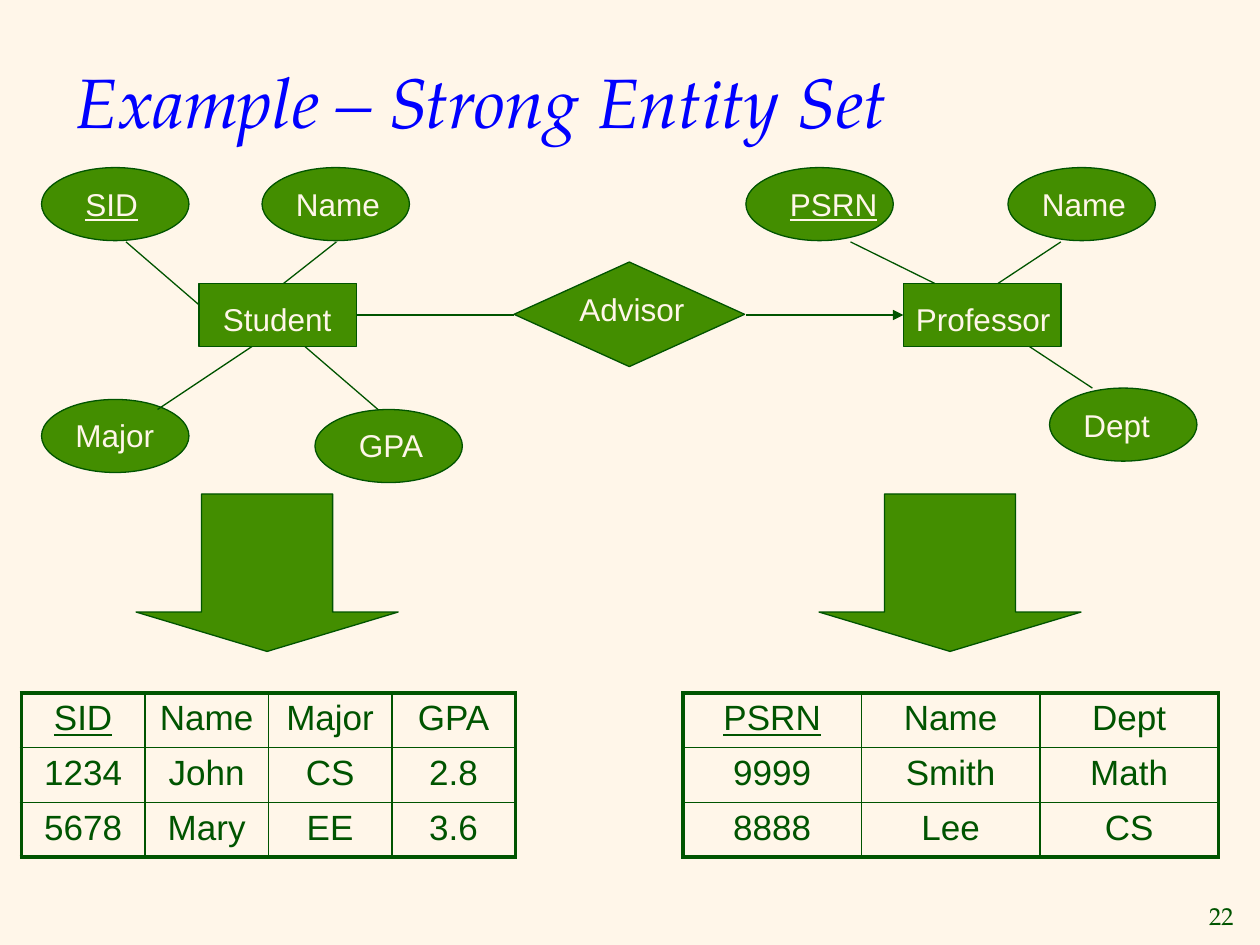
"""Build the slide that maps two strong entity sets to their tables."""
from lxml import etree
from pptx import Presentation
from pptx.dml.color import RGBColor
from pptx.enum.shapes import MSO_CONNECTOR, MSO_SHAPE
from pptx.enum.text import MSO_ANCHOR, MSO_AUTO_SIZE, PP_ALIGN
from pptx.oxml.ns import qn
from pptx.util import Inches, Pt

ELLIPSE = MSO_SHAPE.OVAL
RECTANGLE = MSO_SHAPE.RECTANGLE
DIAMOND = MSO_SHAPE.FLOWCHART_DECISION
DOWN_ARROW = MSO_SHAPE.DOWN_ARROW
STRAIGHT = MSO_CONNECTOR.STRAIGHT
MIDDLE = MSO_ANCHOR.MIDDLE
NO_AUTOFIT = MSO_AUTO_SIZE.NONE
LEFT, CENTER, RIGHT = PP_ALIGN.LEFT, PP_ALIGN.CENTER, PP_ALIGN.RIGHT

CREAM, GREEN, DARK_GREEN, BLUE = "FFF6E9", "438E00", "005400", "0000FF"
SERIF, SANS = "TeX Gyre Pagella", "Arial"

TITLE_FORMAT = {"name": SERIF, "size": Pt(40), "italic": True}
NUMBER_FORMAT = {"name": SERIF, "size": Pt(14)}
LABEL_FORMAT = {"name": SANS, "size": Pt(18)}
CELL_FORMAT = {"name": SANS, "size": Pt(20)}
KEYS = {"SID", "PSRN"}

SIZES = {ELLIPSE: (1.17, 0.58), RECTANGLE: (1.25, 0.5),
         DIAMOND: (1.83, 0.83), DOWN_ARROW: (2.08, 1.25)}

# Each node: shape kind, left, top, label, label left, label top, label width
NODES = [
    (RECTANGLE, 1.58, 2.25, "Student", 1.67, 2.33, 1.08),
    (ELLIPSE, 0.33, 1.33, "SID", 0.58, 1.42, 0.83),
    (ELLIPSE, 2.08, 1.33, "Name", 2.25, 1.42, 0.92),
    (ELLIPSE, 0.33, 3.17, "Major", 0.5, 3.25, 0.83),
    (ELLIPSE, 2.5, 3.25, "GPA", 2.75, 3.33, 0.75),
    (DIAMOND, 4.08, 2.08, "Advisor", 4.5, 2.25, 1.08),
    (RECTANGLE, 7.17, 2.25, "Professor", 7.17, 2.33, 1.33),
    (ELLIPSE, 5.92, 1.33, "PSRN", 6.17, 1.42, 0.92),
    (ELLIPSE, 8, 1.33, "Name", 8.17, 1.42, 0.92),
    (ELLIPSE, 8.33, 3.08, "Dept", 8.5, 3.17, 0.83),
]
ATTRIBUTE_LINES = [
    (1, 1.92, 1.58, 2.42), (2.67, 1.92, 2.25, 2.25),
    (3, 3.25, 2.42, 2.75), (1.25, 3.25, 2, 2.75),
    (6.75, 1.92, 7.42, 2.25), (8.42, 1.92, 7.92, 2.25),
    (8.67, 3.08, 8.17, 2.75),
]
STUDENTS = [["SID", "Name", "Major", "GPA"],
            ["1234", "John", "CS", "2.8"],
            ["5678", "Mary", "EE", "3.6"]]
PROFESSORS = [["PSRN", "Name", "Dept"],
              ["9999", "Smith", "Math"],
              ["8888", "Lee", "CS"]]


def rgb(value):
    """Turn a hex string into a colour."""
    return RGBColor.from_string(value)


def write(frame, text, values, color, alignment=LEFT):
    """Write one formatted paragraph, underlining key attributes."""
    paragraph = frame.paragraphs[0]
    paragraph.alignment = alignment
    run = paragraph.add_run()
    run.text = text
    for name, value in values.items():
        setattr(run.font, name, value)
    run.font.color.rgb = rgb(color)
    if text in KEYS:
        run.font.underline = True


def set_title(slide, text):
    """Place and fill the title placeholder."""
    title = slide.shapes.title
    box = {"left": 0.5, "top": 0.17, "width": 9, "height": 1.25}
    for name, value in box.items():
        setattr(title, name, Inches(value))
    frame = title.text_frame
    frame.auto_size = NO_AUTOFIT
    frame.vertical_anchor = MIDDLE
    write(frame, text, TITLE_FORMAT, BLUE)


def add_text(slide, box, text, values, color, alignment=LEFT, wrap=True):
    """Add a text box."""
    frame = slide.shapes.add_textbox(*map(Inches, box)).text_frame
    frame.word_wrap = wrap
    frame.vertical_anchor = MIDDLE if not wrap else None
    write(frame, text, values, color, alignment)


def add_figure(slide, kind, left, top):
    """Add a green outlined shape of the size its kind has."""
    shape = slide.shapes.add_shape(kind, *map(Inches, (left, top, *SIZES[kind])))
    shape.shadow.inherit = False
    shape.fill.solid()
    shape.fill.fore_color.rgb = rgb(GREEN)
    shape.line.color.rgb = rgb(DARK_GREEN)
    shape.line.width = Pt(0.75)
    return shape


def add_line(slide, ends, arrow=False):
    """Add a thin straight connector, with an arrowhead if asked."""
    connector = slide.shapes.add_connector(STRAIGHT, *map(Inches, ends))
    connector.line.color.rgb = rgb(DARK_GREEN)
    connector.line.width = Pt(0.75)
    if arrow:
        etree.SubElement(connector.line._get_or_add_ln(), qn("a:tailEnd"), type="triangle")
    etree.SubElement(connector._element.spPr, qn("a:effectLst"))


def set_borders(cell, outer_sides):
    """Draw thick borders on the outer sides and thin ones elsewhere."""
    properties = cell._tc.get_or_add_tcPr()
    for side in "LRTB":
        width = Pt(2.25 if side in outer_sides else 1)
        border = etree.SubElement(properties, qn(f"a:ln{side}"), w=str(width))
        fill = etree.SubElement(border, qn("a:solidFill"))
        etree.SubElement(fill, qn("a:srgbClr"), val=DARK_GREEN)


def add_records(slide, left, width, records):
    """Add a table with a thick frame and thin inner rules."""
    last_row, last_column = len(records) - 1, len(records[0]) - 1
    box = map(Inches, (left, 5.5, width, 1.3))
    table = slide.shapes.add_table(last_row + 1, last_column + 1, *box).table
    table.first_row = table.horz_banding = False
    for row, record in enumerate(records):
        for column, text in enumerate(record):
            cell = table.cell(row, column)
            edges = {"L": column == 0, "R": column == last_column,
                     "T": row == 0, "B": row == last_row}
            set_borders(cell, [side for side, outer in edges.items() if outer])
            if row == 1:
                cell.fill.solid()
                cell.fill.fore_color.rgb = rgb(CREAM)
            else:
                cell.fill.background()
            write(cell.text_frame, text, CELL_FORMAT, DARK_GREEN, CENTER)


def main():
    """Build and save the slide."""
    presentation = Presentation()
    presentation.slide_width, presentation.slide_height = Inches(10), Inches(7.5)
    slide = presentation.slides.add_slide(presentation.slide_layouts[5])
    slide.background.fill.solid()
    slide.background.fill.fore_color.rgb = rgb(CREAM)

    set_title(slide, "Example – Strong Entity Set")
    add_text(slide, (9.45, 7.1, 0.44, 0.33), "22", NUMBER_FORMAT, DARK_GREEN, RIGHT, wrap=False)
    for kind, left, top, label, label_left, label_top, label_width in NODES:
        add_figure(slide, kind, left, top)
        add_text(slide, (label_left, label_top, label_width, 0.4), label, LABEL_FORMAT, CREAM)
    for ends in ATTRIBUTE_LINES:
        add_line(slide, ends)
    add_line(slide, (2.83, 2.5, 4.08, 2.5))
    add_line(slide, (5.92, 2.5, 7.17, 2.5), arrow=True)
    for left in (1.08, 6.5):
        arrow = add_figure(slide, DOWN_ARROW, left, 3.92)
        arrow.adjustments[0], arrow.adjustments[1] = 0.5, 0.25
    add_records(slide, 0.17, 3.92, STUDENTS)
    add_records(slide, 5.42, 4.25, PROFESSORS)
    presentation.save("out.pptx")


if __name__ == "__main__":
    main()
